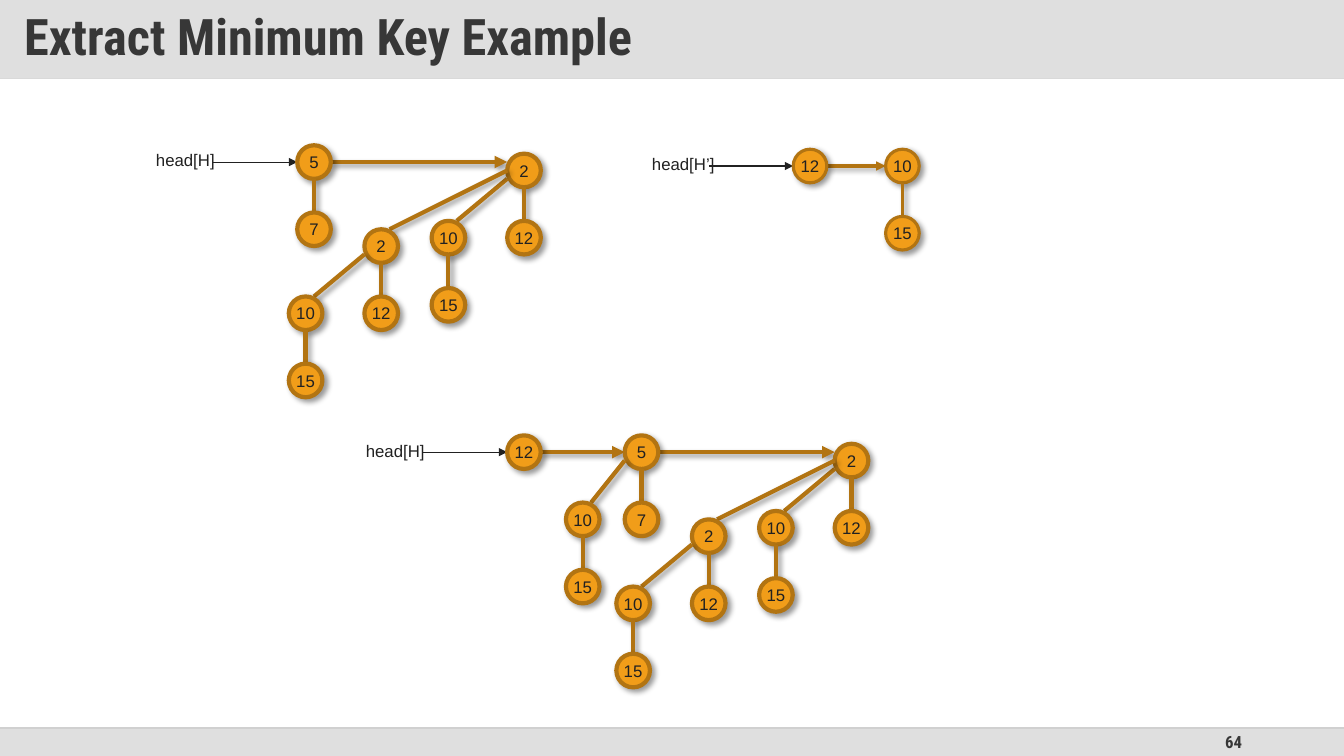
import pptx
import pptx.dml.color
import pptx.enum.shapes
import pptx.enum.text
import pptx.oxml
import pptx.oxml.ns
import pptx.util
from pptx.util import Cm

COLORS = {"band": "C0C0C0", "footer": "DFDFDF", "heading": "373737", "ink": "212121",
          "node": "F19D19", "edge": "B27412", "top rule": "D9D9D9", "bottom rule": "BFBFBF"}
RGB = {part: pptx.dml.color.RGBColor.from_string(value) for part, value in COLORS.items()}
NS = pptx.oxml.ns.nsdecls("a")
NO_EFFECT = f"<a:effectLst {NS}/>"
SHADOW = (f'<a:effectLst {NS}><a:outerShdw blurRad="50800" dist="38100" dir="2700000" '
          'algn="tl" rotWithShape="0"><a:srgbClr val="000000"><a:alpha val="40000"/>'
          '</a:srgbClr></a:outerShdw></a:effectLst>')
ALPHA = f'<a:alpha {NS} val="%d"/>'
ARROWHEAD = f'<a:tailEnd {NS} type="triangle"/>'

TITLE_FONT = {"name": "Roboto Condensed", "size": pptx.util.Pt(36), "bold": True}
NUMBER_FONT = {**TITLE_FONT, "size": pptx.util.Pt(12)}
KEY_FONT = {"name": "Arial", "size": pptx.util.Pt(12), "bold": False}
LEFT, CENTER, RIGHT = (pptx.enum.text.PP_ALIGN.LEFT, pptx.enum.text.PP_ALIGN.CENTER,
                       pptx.enum.text.PP_ALIGN.RIGHT)
MIDDLE, TOP = pptx.enum.text.MSO_ANCHOR.MIDDLE, pptx.enum.text.MSO_ANCHOR.TOP

UNIT = 2.54 / 12  # centimetres per grid step
NODE = 4          # node diameter in grid steps
WIDTH, HEIGHT = 33.87, 19.05
BAND, FOOTER_TOP = 1.98, 18.34

deck = pptx.Presentation()
deck.slide_width, deck.slide_height = Cm(WIDTH), Cm(HEIGHT)
slide = deck.slides.add_slide(deck.slide_layouts[5])


def write(shape, words, font, color, align, anchor=MIDDLE, wrap=True):
    frame = shape.text_frame
    frame.text = words
    frame.word_wrap = wrap
    frame.vertical_anchor = anchor
    frame.paragraphs[0].alignment = align
    run = frame.paragraphs[0].runs[0]
    for attribute, value in font.items():
        setattr(run.font, attribute, value)
    run.font.color.rgb = RGB[color]


def connect(start, end, color, width, arrow=False, effect=NO_EFFECT):
    """Draw a straight line between two points given in centimetres."""
    line = slide.shapes.add_connector(pptx.enum.shapes.MSO_CONNECTOR.STRAIGHT,
                                      *map(Cm, (*start, *end)))
    line.line.color.rgb = RGB[color]
    line.line.width = pptx.util.Pt(width)
    if arrow:
        line.line._get_or_add_ln().append(pptx.oxml.parse_xml(ARROWHEAD))
    line._element.spPr.append(pptx.oxml.parse_xml(effect))
    return line


# Footer, page number and rules
footer = slide.shapes.add_shape(pptx.enum.shapes.MSO_SHAPE.RECTANGLE, 0, Cm(FOOTER_TOP),
                                Cm(WIDTH), Cm(HEIGHT - FOOTER_TOP))
footer.fill.solid()
footer.fill.fore_color.rgb = RGB["footer"]
footer.line.fill.background()
footer.shadow.inherit = False
page_number = slide.shapes.add_textbox(Cm(23.93), Cm(FOOTER_TOP), Cm(7.62),
                                       Cm(HEIGHT - FOOTER_TOP))
write(page_number, "64", NUMBER_FONT, "heading", RIGHT)
connect((0, BAND), (WIDTH, BAND), "top rule", 1)
bottom_rule = connect((0, FOOTER_TOP), (WIDTH, FOOTER_TOP), "bottom rule", 1)

# Title band
title = slide.shapes.title
title.left, title.top, title.width, title.height = 0, 0, Cm(WIDTH), Cm(BAND)
title.fill.solid()
title.fill.fore_color.rgb = RGB["band"]
write(title, "Extract Minimum Key Example", TITLE_FONT, "heading", LEFT)
title.text_frame.auto_size = pptx.enum.text.MSO_AUTO_SIZE.NONE
title.text_frame.paragraphs[0].line_spacing = 0.9
for side, inset in {"left": 0.61, "right": 0.61, "top": 0.3, "bottom": 0.3}.items():
    setattr(title.text_frame, f"margin_{side}", Cm(inset))
for translucent, percent in ((title, 50), (bottom_rule, 70)):
    color = translucent._element.spPr.xpath(".//a:srgbClr")[0]
    color.append(pptx.oxml.parse_xml(ALPHA % (percent * 1000)))

# A tree is (key, children); a child is (steps right, steps down, tree)
ten = (10, [(0, 8, (15, []))])
two = (2, [(0, 8, (12, [])), (-9, 8, ten)])
big_two = (2, two[1] + [(-17, 9, two)])
five = (5, [(0, 8, (7, []))])
five_merged = (5, five[1] + [(-7, 8, ten)])
twelve = (12, [])

# Label, left and top of the first root in cm, edge width, roots with offsets in steps
HEAPS = [
    ("head[H]", 7.49, 3.66, 3, [(0, 0, five), (25, 1, big_two)]),
    ("head[H’]", 19.99, 3.76, 2.25, [(0, 0, twelve), (11, 0, ten)]),
    ("head[H]", 12.78, 10.97, 3, [(0, 0, twelve), (14, 0, five_merged), (39, 1, big_two)]),
]

for label, left, top, width, roots in HEAPS:
    def_point = (left, top)
    head = slide.shapes.add_textbox(Cm(left - 18 * UNIT), Cm(top), Cm(10 * UNIT), Cm(0.77))
    write(head, label, KEY_FONT, "ink", LEFT, TOP)
    root_line = top + NODE / 2 * UNIT
    connect((left - 10 * UNIT, root_line), (left, root_line), "ink", 0.75, arrow=True)
    for (x, y, _), (next_x, _, _) in zip(roots, roots[1:]):
        level = top + (y + NODE / 2) * UNIT
        connect((left + (x + NODE) * UNIT, level), (left + next_x * UNIT, level),
                "edge", width, arrow=True, effect=SHADOW)

    pending = list(roots)
    while pending:
        x, y, (key, children) = pending.pop(0)
        node = slide.shapes.add_shape(pptx.enum.shapes.MSO_SHAPE.OVAL,
                                      Cm(left + x * UNIT), Cm(top + y * UNIT),
                                      Cm(NODE * UNIT), Cm(NODE * UNIT))
        node.fill.solid()
        node.fill.fore_color.rgb = RGB["node"]
        node.line.color.rgb = RGB["edge"]
        node.line.width = pptx.util.Pt(width)
        node._element.spPr.append(pptx.oxml.parse_xml(SHADOW))
        write(node, str(key), KEY_FONT, "ink", CENTER, wrap=False)
        for right, down, child in children:
            if right == 0:
                start, end = (x + 2, y + NODE), (x + 2, y + down)
            else:  # the farthest child leaves from the middle of the side
                start = (x, y + (2 if right < -10 else 3))
                end = (x + right + 3, y + down)
            points = [(left + px * UNIT, top + py * UNIT) for px, py in (start, end)]
            connect(*points, "edge", width, effect=SHADOW)
            pending.append((x + right, y + down, child))

deck.save("out.pptx")
